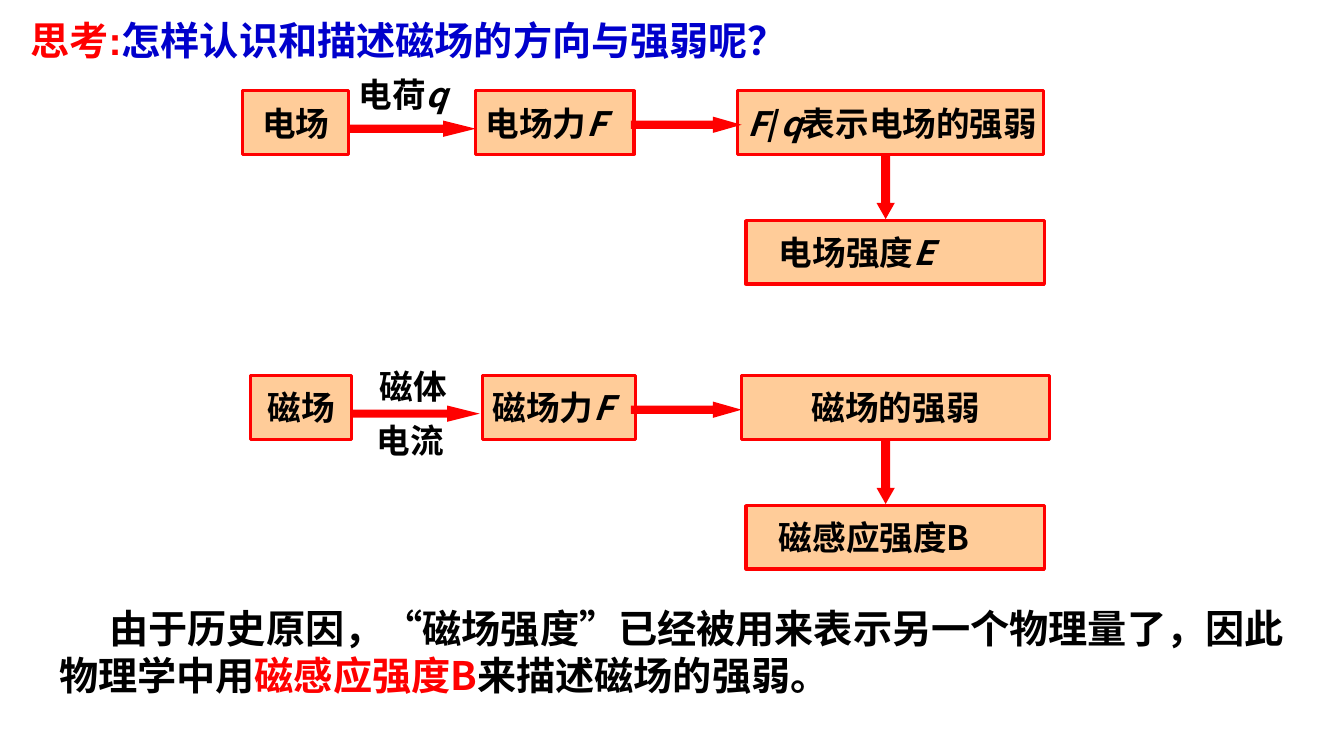
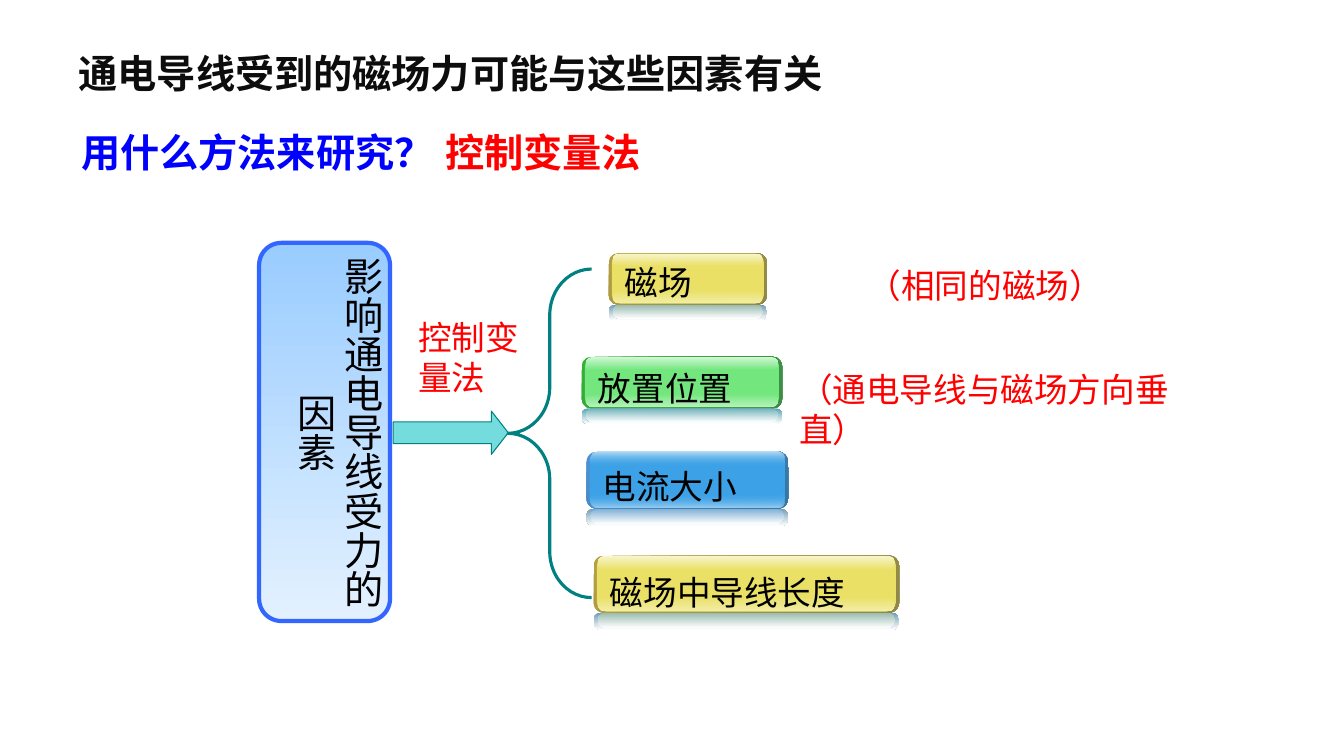
from lxml import etree
from pptx import Presentation
from pptx.dml.color import RGBColor
from pptx.enum.shapes import MSO_SHAPE
from pptx.enum.text import MSO_ANCHOR, MSO_AUTO_SIZE, PP_ALIGN
from pptx.oxml.ns import qn
from pptx.util import Cm, Pt

RECT, ROUND = MSO_SHAPE.RECTANGLE, MSO_SHAPE.ROUNDED_RECTANGLE
RIGHT, DOWN, BRACE = MSO_SHAPE.RIGHT_ARROW, MSO_SHAPE.DOWN_ARROW, MSO_SHAPE.LEFT_BRACE
TOP, MID = MSO_ANCHOR.TOP, MSO_ANCHOR.MIDDLE
LEFT, CENTER = PP_ALIGN.LEFT, PP_ALIGN.CENTER
FIXED = MSO_AUTO_SIZE.NONE

SANS, FLOW, HEAD = "Noto Sans CJK SC", "Noto Sans CJK TC", "Arial"
COLORS = {
    "black": "000000", "ink": "0D0D0D", "red": "FF0000", "navy": "0000CC",
    "blue": "0000FF", "peach": "FFCC99", "sky": "99CCFF", "ice": "E3F1FF",
    "edge": "3366FF", "teal": "008080", "aqua": "33CCCC", "white": "FFFFFF",
}
YELLOW = {"rim": ("B59F43", "8F8849"), "base": "E9E065", "top": "F8F5CC",
          "low": "F2EDA6", "echo": ("6F9DB7", "98BAAF"), "fade": 100}
GREEN = {"rim": ("34B034", "3F8B4A"), "base": "73E77E", "top": "D0F7D4",
         "low": "B3F2B9", "echo": ("58A4AE", "72B2BB"), "fade": 100}
BLUE = {"rim": ("4E91D4", "3477A4"), "base": "3CA1E6", "top": "BEE0F7",
        "low": "9BCFF2", "echo": ("729EB4", "7DAFD4"), "fade": 0}

ASK = [("思考:", "red"), ("怎样认识和描述磁场的方向与强弱呢？", "navy")]
NOTE = [("由于历史原因，“磁场强度”已经被用来表示另一个物理量了，因此物理学中用", "black"),
        ("磁感应强度B", "red"), ("来描述磁场的强弱。", "black")]
ROWS = [
    {"y": 2.29,
     "boxes": [(6.12, 2.67, CENTER, [("电场",)]),
               (11.99, 3.99, LEFT, [("电场力",), ("F", "black", True)]),
               (18.59, 7.72, LEFT, [("F", "black", True), ("/",), ("q", "black", True),
                                    ("表示电场的强弱",)])],
     "arrow": 8.79,
     "tags": [(8.79, -0.56, 3.45, [("电荷",), ("q", "black", True)])],
     "end": [("电场强度",), ("E", "black", True)]},
    {"y": 9.47,
     "boxes": [(6.32, 2.54, CENTER, [("磁场",)]),
               (12.17, 3.84, LEFT, [("磁场力",), ("F", "black", True)]),
               (18.69, 7.77, CENTER, [("磁场的强弱",)])],
     "arrow": 8.89,
     "tags": [(9.25, 0.99, 2.69, [("电流",)]), (9.32, -0.38, 2.69, [("磁体",)])],
     "end": [("磁感应强度B",)]},
]

TOPIC = [("通电导线受到的磁场力可能与这些因素有关", "ink")]
HEADS = [(1.8, 13.74, [("用什么方法来研究？", "blue")]),
         (10.97, 6.4, [("控制变量法", "red")])]
CAUSE = [("影响通电导线受力的因素",)]
KEYS = [
    ("磁场", 15.34, 6.38, 3.99, 1.3, 0.1, YELLOW),
    ("放置位置", 14.66, 8.99, 5.05, 1.3, 0.15, GREEN),
    ("电流大小", 14.78, 11.38, 5.08, 1.44, 0.23, BLUE),
    ("磁场中导线长度", 14.96, 14.0, 7.7, 1.44, 0.28, YELLOW),
]
HINTS = [(21.62, 6.55, 6.96, 1.27, ["（相同的磁场）"]),
         (19.89, 9.17, 11.43, 1.27, ["（通电导线与磁场方向垂直）"]),
         (10.29, 7.85, 3.4, 2.31, ["控制变", "量法"])]


def rgb(name):
    return RGBColor.from_string(COLORS.get(name, name))


def fade(clr, pct):
    etree.SubElement(clr, qn("a:alpha")).set("val", str(pct * 1000))


def fill_in(frame, paras, size, font=SANS, bold=False, align=LEFT, anchor=TOP, wrap=True):
    frame.auto_size = FIXED
    frame.word_wrap = wrap
    frame.vertical_anchor = anchor
    for i, runs in enumerate(paras):
        para = frame.add_paragraph() if i else frame.paragraphs[0]
        para.alignment = align
        for text, color, slant in ((r + ("black", False)[len(r) - 1:]) for r in runs):
            run = para.add_run()
            run.text = text
            face = run.font
            face.size, face.bold, face.italic = Pt(size), bold, slant
            face.color.rgb = rgb(color)
            face.name = font
            east = etree.SubElement(run._r.get_or_add_rPr(), qn("a:ea"))
            east.set("typeface", SANS if font == HEAD else font)
    return frame


def write(slide, x, y, w, h, paras, size, **style):
    box = slide.shapes.add_textbox(Cm(x), Cm(y), Cm(w), Cm(h))
    return fill_in(box.text_frame, paras, size, **style)


def draw(slide, kind, x, y, w, h, fill=None, line=None, width=1, adj=(), angle=270):
    shape = slide.shapes.add_shape(kind, Cm(x), Cm(y), Cm(w), Cm(h))
    shape.shadow.inherit = False
    for i, val in enumerate(adj):
        shape.adjustments[i] = val
    if fill is None:
        shape.fill.background()
    elif isinstance(fill, tuple):
        shape.fill.gradient()
        shape.fill.gradient_angle = angle
        for stop, color in zip(shape.fill.gradient_stops, fill):
            stop.color.rgb = rgb(color)
    else:
        shape.fill.solid()
        shape.fill.fore_color.rgb = rgb(fill)
    if line:
        shape.line.color.rgb = rgb(line)
        shape.line.width = Pt(width)
    else:
        shape.line.fill.background()
    return shape


def start(deck, runs, x, y, w, h, font):
    slide = deck.slides.add_slide(deck.slide_layouts[5])
    title = slide.shapes.title
    title.left, title.top, title.width, title.height = Cm(x), Cm(y), Cm(w), Cm(h)
    fill_in(title.text_frame, [runs], 28, font=font, bold=True)
    return slide


def block(slide, x, y, w, runs, align=LEFT):
    shape = draw(slide, RECT, x, y, w, 1.6, "peach", "red", 2.25)
    return fill_in(shape.text_frame, [runs], 24, font=FLOW, bold=True,
                   align=align, anchor=MID, wrap=False)


def chain(slide, row):
    y = row["y"]
    for x, w, align, runs in row["boxes"]:
        block(slide, x, y, w, runs, align)
    draw(slide, RIGHT, row["arrow"], y + 0.75, 3.2, 0.41, "red", adj=(0.5, 2))
    draw(slide, RIGHT, 15.9, y + 0.65, 2.79, 0.41, "red", adj=(0.5, 1.76))
    draw(slide, DOWN, 22.09, y + 1.63, 0.46, 1.6, "red", adj=(0.5, 0.88))
    for x, dy, w, runs in row["tags"]:
        write(slide, x, y + dy, w, 1.27, [runs], 24, font=FLOW, bold=True)
    frame = block(slide, 18.8, y + 3.27, 7.52, row["end"])
    frame.paragraphs[0]._p.get_or_add_pPr().set("marL", str(Cm(0.58)))


def button(slide, text, x, y, w, h, drop, tone):
    base = tone["base"]
    glow = h / 4
    draw(slide, ROUND, x, y, w, h, tone["rim"], adj=(0.18,), angle=315)
    draw(slide, ROUND, x + 0.08, y + 0.01, w - 0.16, h - 0.04, base, adj=(0.17,))
    for top, pair, end in ((y + h - glow - 0.04, (base, tone["low"]), 0),
                           (y + 0.01, (tone["top"], base), 1)):
        shine = draw(slide, ROUND, x + 0.1, top, w - 0.2, glow, pair, adj=(0.5,))
        if tone["fade"] < 100:
            stops = list(shine._element.spPr.iter(qn("a:srgbClr")))
            fade(stops[end], tone["fade"])
    for inset, part, color, bend in zip((0, 0.1), (0.3, 0.27), tone["echo"], (0.4, 0.5)):
        draw(slide, ROUND, x + inset, y + h, w - 2 * inset, h * part,
             (color, "white"), adj=(bend,))
    write(slide, x + 0.16, y + drop, w - 0.2, 1.27, [[(text,)]], 24)


def fields(deck):
    slide = start(deck, ASK, 0.51, 0.28, 20.02, 2.64, HEAD)
    for row in ROWS:
        chain(slide, row)
    note = write(slide, 1.24, 15.11, 31.7, 2.64, [NOTE], 28, bold=True)
    note.paragraphs[0]._p.get_or_add_pPr().set("indent", str(Cm(1.27)))


def factors(deck):
    slide = start(deck, TOPIC, 1.73, 1.12, 19.96, 1.45, SANS)
    for x, w, runs in HEADS:
        write(slide, x, 3.12, w, 1.45, [runs], 28, bold=True)
    for key in KEYS:
        button(slide, *key)
    for x, y, w, h, lines in HINTS:
        write(slide, x, y, w, h, [[(text, "red")] for text in lines], 24)
    draw(slide, ROUND, 6.53, 6.12, 3.3, 9.53, ("sky", "ice"), "edge", 3, (0.17,))
    draw(slide, BRACE, 12.8, 6.78, 2.11, 8.28, None, "teal", 2.25, (0.55, 0.5))
    arrow = draw(slide, RIGHT, 9.91, 10.36, 2.9, 1.09, "aqua", "teal", 0.75, (0.5, 0.39))
    fade(next(arrow._element.spPr.iter(qn("a:srgbClr"))), 68)
    cause = write(slide, 6.93, 6.22, 2.92, 9.83, [CAUSE], 28, align=CENTER)
    cause._txBody.bodyPr.set("vert", "eaVert")


def main():
    deck = Presentation()
    deck.slide_width, deck.slide_height = Cm(33.87), Cm(19.05)
    fields(deck)
    factors(deck)
    deck.save("out.pptx")


if __name__ == "__main__":
    main()
